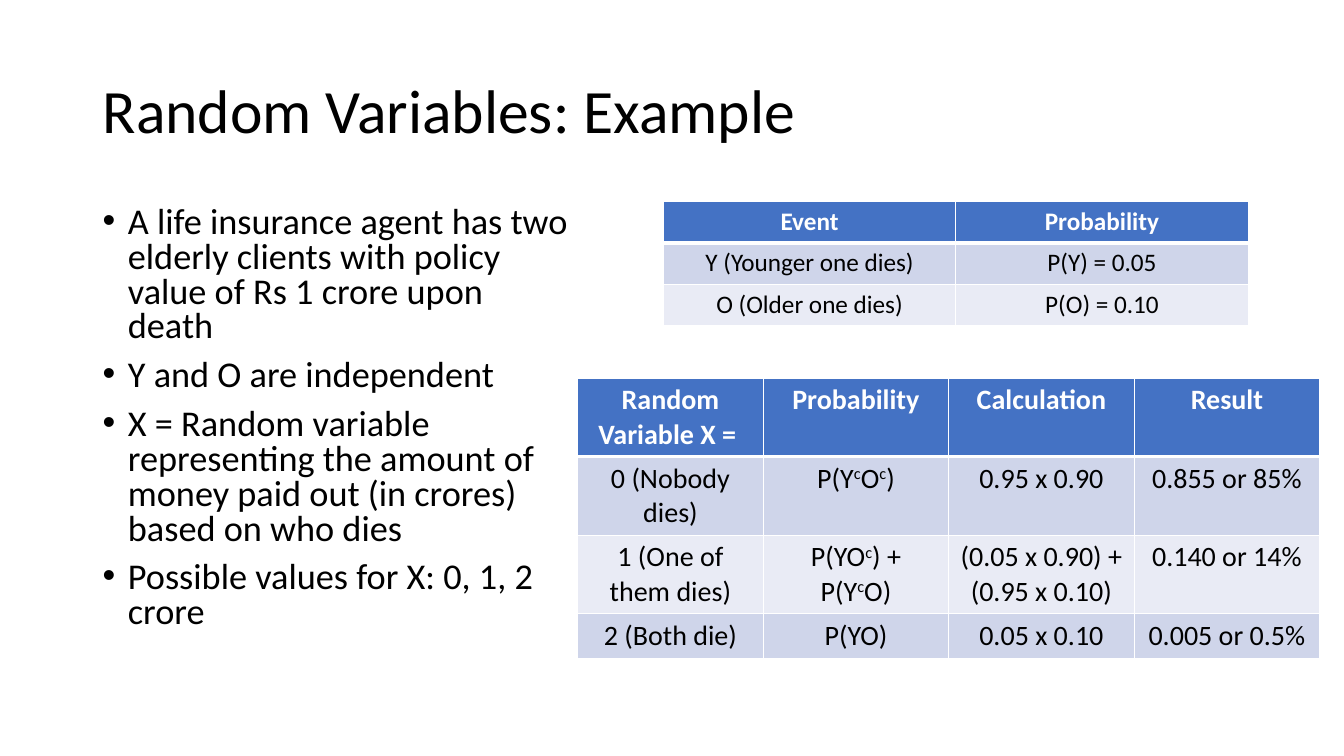
from dataclasses import dataclass

from lxml import etree
from pptx import Presentation
from pptx.dml.color import RGBColor
from pptx.enum.text import MSO_ANCHOR, PP_ALIGN
from pptx.oxml.ns import qn
from pptx.util import Emu, Pt

PX = 9144
FONT = "Calibri"
MIDDLE = MSO_ANCHOR.MIDDLE
TOP = MSO_ANCHOR.TOP
CENTER = PP_ALIGN.CENTER
COLORS = {
    "black": "000000",
    "white": "FFFFFF",
    "head": "4472C4",
    "odd": "CFD5EA",
    "even": "E9EBF5",
}


@dataclass
class Block:
    left: int
    top: int
    width: int
    height: int
    size: float
    spacing: float
    lines: list[str]
    anchor: MSO_ANCHOR = TOP
    bullet: bool = False


@dataclass
class Grid:
    left: int
    top: int
    col: int
    heights: list[int]
    size: int
    rows: list[list[str]]


BLOCKS = [
    Block(92, 40, 1150, 145, 44, 0.9, ["Random Variables: Example"], MIDDLE),
    Block(92, 200, 485, 476, 25.9, 0.8, [
        "A life insurance agent has two elderly clients with policy value of Rs 1 crore upon death",
        "Y and O are independent",
        "X = Random variable representing the amount of money paid out (in crores) based on who dies",
        "Possible values for X: 0, 1, 2 crore",
    ], bullet=True),
]

GRIDS = [
    Grid(658, 200, 290, [41, 41, 41], 18, [
        ["Event", "Probability"],
        ["Y (Younger one dies)", "P(Y) = 0.05"],
        ["O (Older one dies)", "P(O) = 0.10"],
    ]),
    Grid(573, 375, 184, [78, 78, 78, 44], 20, [
        ["Random Variable X = ", "Probability", "Calculation", "Result"],
        ["0 (Nobody dies)", "P(Y^c^O^c^)", "0.95 x 0.90", "0.855 or 85%"],
        ["1 (One of them dies)", "P(YO^c^) + P(Y^c^O)",
         "(0.05 x 0.90) + (0.95 x 0.10)", "0.140 or 14%"],
        ["2 (Both die)", "P(YO)", "0.05 x 0.10", "0.005 or 0.5%"],
    ]),
]


def px(n: int) -> Emu:
    return Emu(n * PX)


def rgb(name: str) -> RGBColor:
    return RGBColor.from_string(COLORS[name])


def style(para, size: float, color: str, bold: bool = False) -> None:
    font = para.font
    font.name = FONT
    font.size = Pt(size)
    font.bold = bold
    font.color.rgb = rgb(color)


def add_bullet(para) -> None:
    props = para._p.get_or_add_pPr()
    props.set("marL", str(px(25)))
    props.set("indent", str(px(-25)))
    face = etree.Element(qn("a:buFont"), typeface="Arial")
    mark = etree.Element(qn("a:buChar"), char="•")
    rest = props.find(qn("a:defRPr"))
    rest.addprevious(face)
    rest.addprevious(mark)


def draw_block(slide, block: Block) -> None:
    box = slide.shapes.add_textbox(
        px(block.left), px(block.top), px(block.width), px(block.height))
    frame = box.text_frame
    frame.word_wrap = True
    frame.vertical_anchor = block.anchor
    frame.text = "\n".join(block.lines)
    for para in frame.paragraphs:
        para.line_spacing = block.spacing
        style(para, block.size, "black")
        if block.bullet:
            para.space_before = Pt(10)
            add_bullet(para)


def add_edges(cell, base: int) -> None:
    props = cell._tc.get_or_add_tcPr()
    widths = {"lnL": 1, "lnR": 1, "lnT": 1, "lnB": base}
    for spot, (tag, width) in enumerate(widths.items()):
        line = etree.Element(qn(f"a:{tag}"), w=str(Pt(width)))
        fill = etree.SubElement(line, qn("a:solidFill"))
        etree.SubElement(fill, qn("a:srgbClr"), val=COLORS["white"])
        props.insert(spot, line)


def fill_cell(cell, text: str, row: int, size: int) -> None:
    head = row == 0
    tone = "head" if head else "odd" if row % 2 else "even"
    cell.fill.solid()
    cell.fill.fore_color.rgb = rgb(tone)
    para = cell.text_frame.paragraphs[0]
    para.alignment = CENTER
    style(para, size, "white" if head else "black", head)
    for spot, part in enumerate(text.split("^")):
        run = para.add_run()
        run.text = part
        if spot % 2:
            run.font._element.set("baseline", "30000")
    add_edges(cell, 3 if head else 1)
    if row == 1:
        cell._tc.tcPr.find(qn("a:lnT")).set("w", str(Pt(3)))


def draw_grid(slide, grid: Grid) -> None:
    count = len(grid.rows[0])
    table = slide.shapes.add_table(
        len(grid.rows), count, px(grid.left), px(grid.top),
        px(grid.col * count), px(sum(grid.heights))).table
    for col in table.columns:
        col.width = px(grid.col)
    for row, texts in enumerate(grid.rows):
        table.rows[row].height = px(grid.heights[row])
        for col, text in enumerate(texts):
            fill_cell(table.cell(row, col), text, row, grid.size)


def main() -> None:
    deck = Presentation()
    deck.slide_width = px(1333)
    deck.slide_height = px(750)
    slide = deck.slides.add_slide(deck.slide_layouts[6])
    for block in BLOCKS:
        draw_block(slide, block)
    for grid in GRIDS:
        draw_grid(slide, grid)
    deck.save("out.pptx")


if __name__ == "__main__":
    main()
